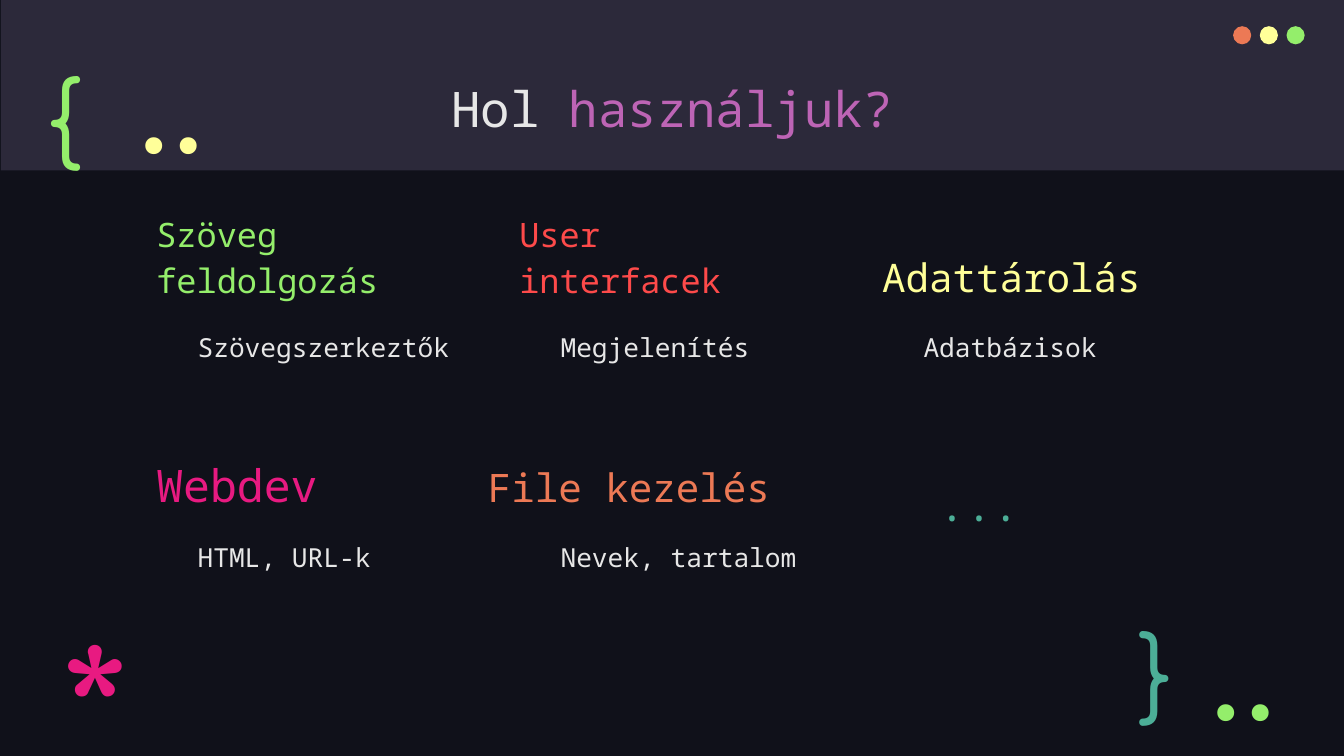
from pptx import Presentation
from pptx.dml.color import RGBColor
from pptx.enum.shapes import MSO_SHAPE
from pptx.enum.text import MSO_ANCHOR, PP_ALIGN
from pptx.util import Inches, Pt

NIGHT = RGBColor(0x10, 0x11, 0x1A)
BANNER = RGBColor(0x2C, 0x29, 0x3A)
WHITE = RGBColor(0xE7, 0xE7, 0xE7)
PURPLE = RGBColor(0xBD, 0x64, 0xB5)
GREEN = RGBColor(0x94, 0xEE, 0x6B)
RED = RGBColor(0xFD, 0x4A, 0x4A)
YELLOW = RGBColor(0xFF, 0xFF, 0x99)
PINK = RGBColor(0xE8, 0x1A, 0x81)
ORANGE = RGBColor(0xEC, 0x79, 0x55)
TEAL = RGBColor(0x4C, 0xAE, 0x97)

MONO = "Noto Sans Mono"
ROUNDED = "Comfortaa"
CODE = "Fira Code"


class SlideBuilder:
    def __init__(self, slide):
        self.slide = slide
        self.frame_format = {"word_wrap": True}
        for side in ("left", "right", "top", "bottom"):
            self.frame_format[f"margin_{side}"] = Inches(0.13)

    def background(self, color):
        fill = self.slide.background.fill
        fill.solid()
        fill.fore_color.rgb = color

    def solid(self, preset, box, color):
        """Add a borderless filled shape."""
        shape = self.slide.shapes.add_shape(preset, *map(Inches, box))
        shape.shadow.inherit = False
        shape.fill.solid()
        shape.fill.fore_color.rgb = color
        shape.line.fill.background()

    def text(self, box, runs, size, font=MONO, anchor=MSO_ANCHOR.TOP,
             **paragraph_format):
        """Add one paragraph made of (text, color) runs."""
        frame = self.slide.shapes.add_textbox(*map(Inches, box)).text_frame
        for name, value in self.frame_format.items():
            setattr(frame, name, value)
        frame.vertical_anchor = anchor
        paragraph = frame.paragraphs[0]
        for name, value in paragraph_format.items():
            setattr(paragraph, name, value)
        for content, color in runs:
            run = paragraph.add_run()
            run.text = content
            for name, value in {"name": font, "size": Pt(size)}.items():
                setattr(run.font, name, value)
            run.font.color.rgb = color

    def heading(self, box, content, size, color):
        self.text(box, [(content, color)], size, anchor=MSO_ANCHOR.BOTTOM,
                  line_spacing=1.15)

    def detail(self, column, row, content):
        box = (1.83 + 3.6 * column, 3.11 + 2.08 * row, 2.9, 1.28)
        self.text(box, [(content, WHITE)], 18.7, line_spacing=1.15)

    def two_dots(self, left, top, color):
        self.text((left, top, 1.42, 0.8), [("..", color)], 66.7, CODE,
                  MSO_ANCHOR.MIDDLE, alignment=PP_ALIGN.RIGHT)


def main():
    presentation = Presentation()
    presentation.slide_width = Inches(13.33)
    presentation.slide_height = Inches(7.5)
    builder = SlideBuilder(
        presentation.slides.add_slide(presentation.slide_layouts[6]))

    builder.background(NIGHT)
    builder.solid(MSO_SHAPE.RECTANGLE, (0.01, 0, 13.33, 1.69), BANNER)
    builder.text((1.05, 0.65, 11.23, 0.84),
                 [("Hol", WHITE), (" használjuk?", PURPLE)], 35,
                 alignment=PP_ALIGN.CENTER)

    for box, content, size, color in (
        ((1.42, 2.39, 2.88, 0.72), "Szöveg feldolgozás", 24, GREEN),
        ((5.02, 2.39, 2.88, 0.72), "User interfacek", 24, RED),
        ((8.62, 2.39, 3.31, 0.72), "Adattárolás", 28, YELLOW),
        ((1.42, 4.48, 2.88, 0.72), "Webdev", 32, PINK),
        ((4.71, 4.39, 3.19, 0.8), "File kezelés", 28, ORANGE),
        ((9.18, 4.67, 2.88, 0.72), "...", 32, TEAL),
    ):
        builder.heading(box, content, size, color)

    details = (("Szövegszerkeztők", "Megjelenítés", "Adatbázisok"),
               ("HTML, URL-k", "Nevek, tartalom"))
    for row, contents in enumerate(details):
        for column, content in enumerate(contents):
            builder.detail(column, row, content)

    for box, symbol, size, color in (
        ((0.33, 0.43, 1.03, 1.27), "{", 66.7, GREEN),
        ((11.16, 5.93, 0.76, 1.11), "}", 66.7, TEAL),
        ((0.47, 5.88, 0.76, 1.15), "*", 128, PINK),
    ):
        builder.text(box, [(symbol, color)], size, ROUNDED)

    builder.two_dots(11.61, 6.38, GREEN)
    builder.two_dots(0.98, 0.75, YELLOW)

    for index, color in enumerate((ORANGE, YELLOW, GREEN)):
        builder.solid(MSO_SHAPE.OVAL,
                      (12.23 + 0.265 * index, 0.26, 0.18, 0.18), color)

    presentation.save("out.pptx")


if __name__ == "__main__":
    main()
